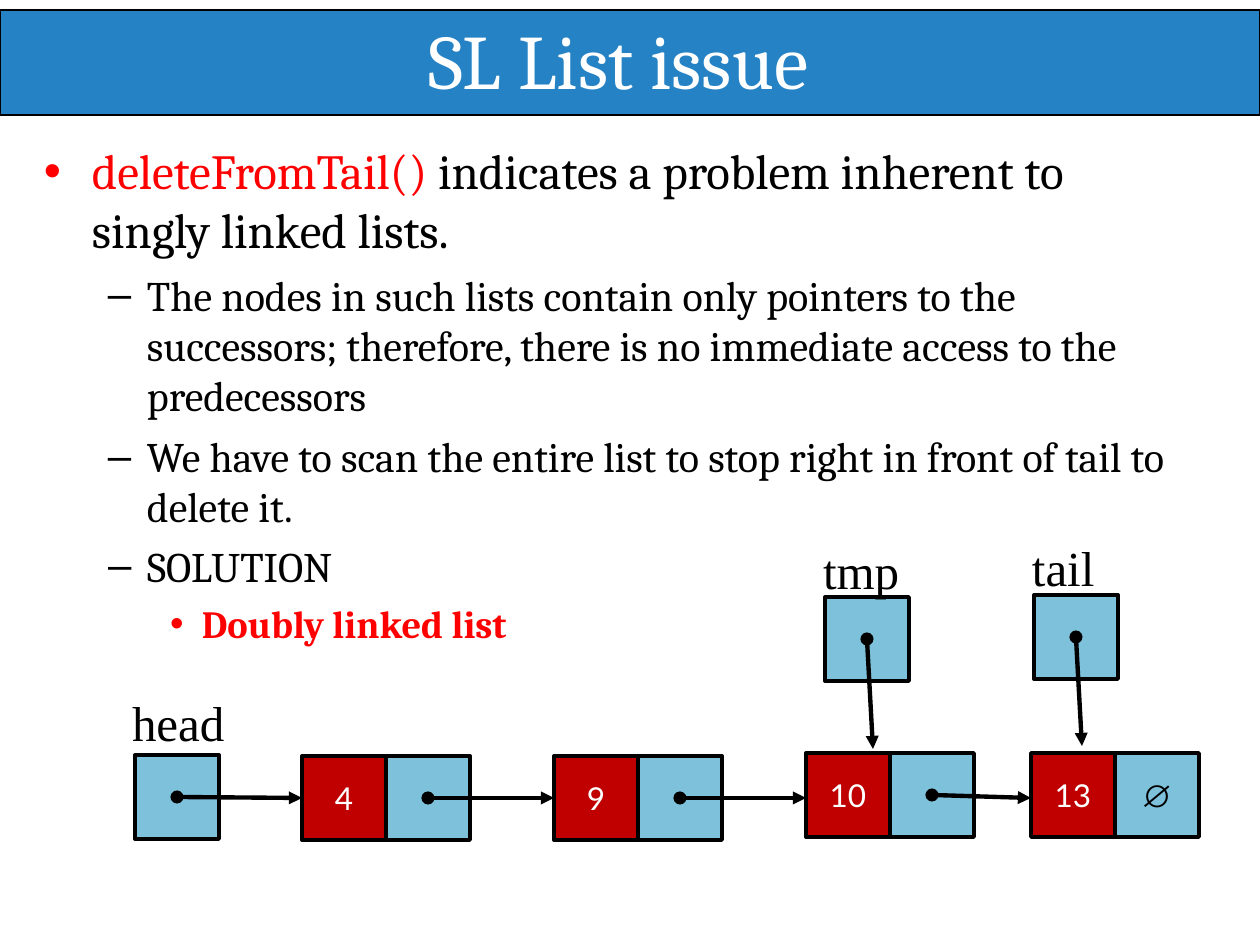
from pptx import Presentation
from pptx.dml.color import RGBColor
from pptx.enum.shapes import MSO_CONNECTOR, MSO_SHAPE
from pptx.enum.text import MSO_ANCHOR, PP_ALIGN
from pptx.oxml.ns import qn
from pptx.util import Pt
from lxml import etree

RECT, STRAIGHT = MSO_SHAPE.RECTANGLE, MSO_CONNECTOR.STRAIGHT
TOP, MIDDLE = MSO_ANCHOR.TOP, MSO_ANCHOR.MIDDLE
LEFT, CENTER = PP_ALIGN.LEFT, PP_ALIGN.CENTER

EMU_PER_PX = 914400 / 126
BLUE, RED, CELL_RED, CELL_BLUE = "2583C5", "FF0000", "C00000", "7EC1DB"
BLACK, WHITE = "000000", "FFFFFF"
SERIF, LABEL, DIGIT, SYMBOL = "Cambria", "Times New Roman", "Lato", "Arial"

# Content
TITLE = "SL List issue"
# Each box: position, then paragraphs of
# (level, bullet, margin px, hanging px, space before pt, size, bold, runs)
BODY = [
    ((43, 141, 1133, 392), [
        (0, "•", 49, 48, 0, 28, False,
         [("deleteFromTail() ", RED),
          ("indicates a problem inherent to singly linked lists.", BLACK)]),
        (1, "–", 104, 39, 6, 24, False,
         [("The nodes in such lists contain only pointers to the successors; "
           "therefore, there is no immediate access to the predecessors", BLACK)]),
        (1, "–", 104, 39, 5.8, 24, False,
         [("We have to scan the entire list to stop right in front of tail "
           "to delete it.", BLACK)]),
    ]),
    ((106, 540, 411, 109), [
        (0, "–", 41, 39, 0, 24, False, [("SOLUTION", BLACK)]),
        (1, "•", 96, 32, 5.3, 22, True, [("Doubly linked list", RED)]),
    ]),
]
SIDE = 84
# Nodes: value, left, top, and the end point of the link to the next node
NODES = [
    ("4", 302, 756, (554, 798)),
    ("9", 554, 756, (806, 798)),
    ("10", 806, 753, (1031, 798)),
    ("13", 1031, 753, None),
]
# Pointers: label, label left, top and width, box left and top, arrow end
POINTERS = [
    ("head", 132, 693, 96, 135, 755, (302, 798)),
    ("tmp", 823, 541, 80, 825, 597, (873, 749)),
    ("tail", 1032, 538, 66, 1034, 595, (1082, 746)),
]


def px(*lengths):
    return [round(n * EMU_PER_PX) for n in lengths]


def rgb(color):
    return RGBColor.from_string(color)


def prepare(tf, anchor=TOP):
    tf.word_wrap = True
    tf.vertical_anchor = anchor
    tf.margin_left = tf.margin_top = tf.margin_right = tf.margin_bottom = 0


def add_run(p, text, size, font, color, bold=False):
    r = p.add_run()
    r.text = text
    r.font.size, r.font.name, r.font.bold = Pt(size), font, bold
    r.font.color.rgb = rgb(color)


def add_bullet(p, char, margin, hanging):
    pPr = p._p.get_or_add_pPr()
    left, indent = px(margin, -hanging)
    pPr.set("marL", str(left))
    pPr.set("indent", str(indent))
    etree.SubElement(pPr, qn("a:buFont")).set("typeface", "Arial")
    etree.SubElement(pPr, qn("a:buChar")).set("char", char)


def add_box(s, left, top, width, height, fill, line_width):
    sp = s.shapes.add_shape(RECT, *px(left, top, width, height))
    sp.shadow.inherit = False
    sp.fill.solid()
    sp.fill.fore_color.rgb = rgb(fill)
    sp.line.color.rgb = rgb(BLACK)
    sp.line.width = Pt(line_width)
    return sp


def add_cell(s, left, top, fill, text="", font=DIGIT, color=WHITE):
    sp = add_box(s, left, top, SIDE, SIDE, fill, 2.25)
    if text:
        prepare(sp.text_frame, MIDDLE)
        p = sp.text_frame.paragraphs[0]
        p.alignment = CENTER
        add_run(p, text, 18, font, color)


def add_link(s, cell_left, cell_top, end):
    start = (cell_left + SIDE / 2, cell_top + SIDE / 2)
    link = s.shapes.add_connector(STRAIGHT, *px(*start, *end))
    link.line.color.rgb = rgb(BLACK)
    link.line.width = Pt(2.5)
    ln = link.line._get_or_add_ln()
    for tag, kind in (("a:headEnd", "oval"), ("a:tailEnd", "triangle")):
        etree.SubElement(ln, qn(tag)).set("type", kind)
    etree.SubElement(link._element.spPr, qn("a:effectLst"))


def add_text_box(s, *place):
    tf = s.shapes.add_textbox(*px(*place)).text_frame
    prepare(tf)
    return tf


prs = Presentation()
prs.slide_width, prs.slide_height = px(1260, 945)
s = prs.slides.add_slide(prs.slide_layouts[5])

# Title on its banner
banner = add_box(s, 0, 10, 1260, 105, BLUE, 0.75)
title = s.shapes.title
banner._element.getparent().insert(2, banner._element)
title.left, title.top, title.width, title.height = px(118, 13, 1023, 96)
prepare(title.text_frame)
p = title.text_frame.paragraphs[0]
p.alignment = LEFT
p._p.get_or_add_pPr().set("marL", str(px(310)[0]))
add_run(p, TITLE, 44, SERIF, WHITE)

# Bulleted text
for place, paragraphs in BODY:
    tf = add_text_box(s, *place)
    for i, (level, char, margin, hanging, before, size, bold, runs) in enumerate(paragraphs):
        p = tf.add_paragraph() if i else tf.paragraphs[0]
        add_bullet(p, char, margin, hanging)
        p.level = level
        p.space_before = Pt(before)
        for text, color in runs:
            add_run(p, text, size, SERIF, color, bold)

# List nodes: a value cell and a link cell
for value, left, top, end in NODES:
    add_cell(s, left, top, CELL_RED, value)
    add_cell(s, left + SIDE, top, CELL_BLUE, "" if end else "∅", SYMBOL, BLACK)

# Named pointers
for label, label_left, label_top, width, left, top, end in POINTERS:
    add_cell(s, left, top, CELL_BLUE)
    tf = add_text_box(s, label_left, label_top, width, 61)
    tf.word_wrap = False
    add_run(tf.paragraphs[0], label, 28, LABEL, BLACK)
    add_link(s, left, top, end)

# Links between nodes
for value, left, top, end in NODES:
    if end:
        add_link(s, left + SIDE, top, end)

prs.save("out.pptx")
